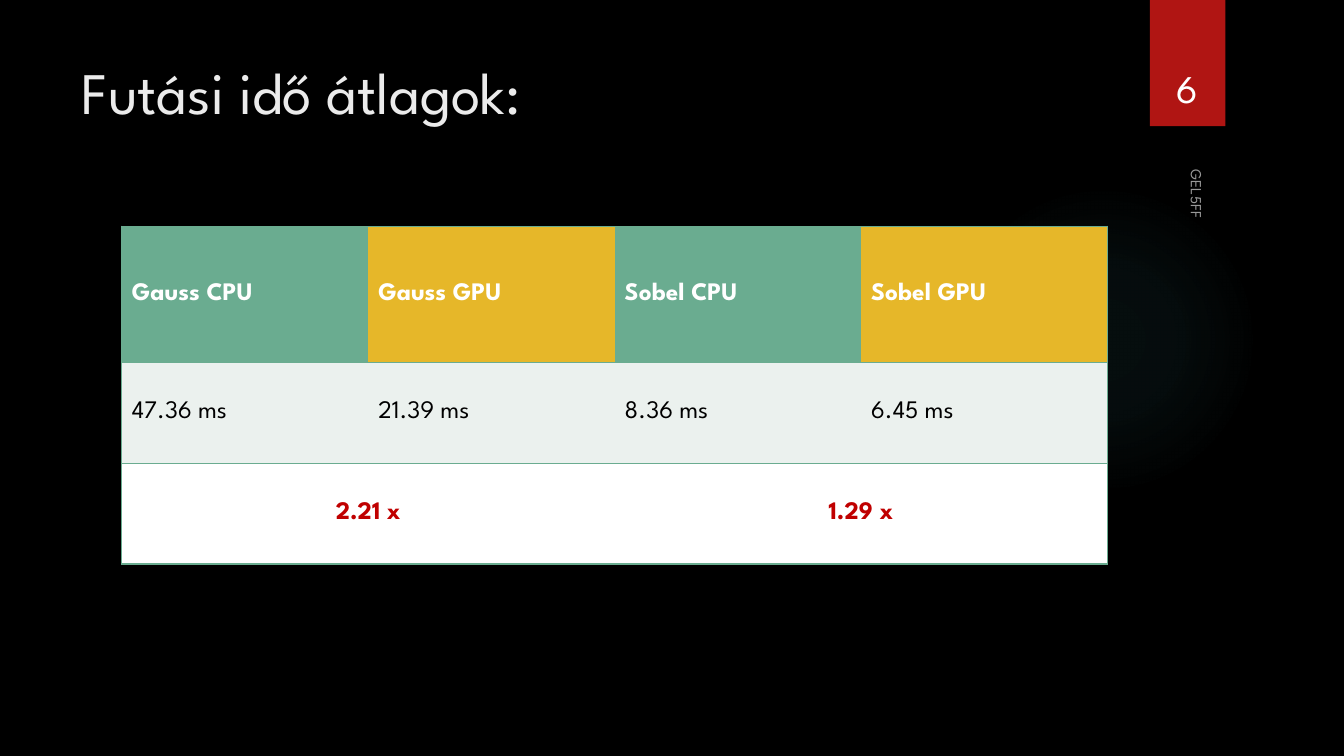
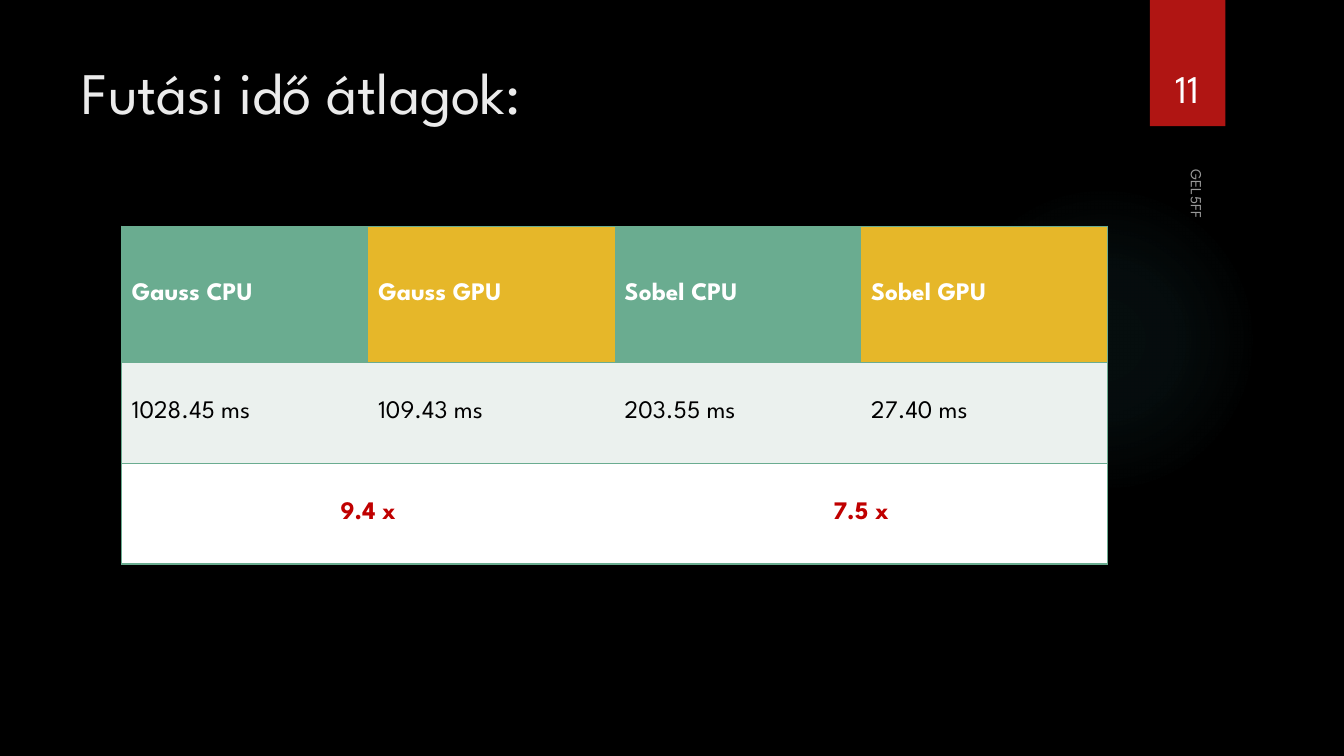
from lxml.etree import SubElement
from pptx import Presentation
from pptx.dml.color import RGBColor
from pptx.enum.shapes import MSO_SHAPE
from pptx.enum.text import MSO_ANCHOR, MSO_AUTO_SIZE, PP_ALIGN
from pptx.oxml import parse_xml
from pptx.oxml.ns import nsdecls, qn
from pptx.util import Cm, Pt

FONT = "League Spartan"
BLACK, WHITE, LIGHT, GREY = "000000", "FFFFFF", "EBEBEB", "999999"
RED, DARK_RED, GLOW = "B01513", "C00000", "50B9C1"
GREEN, YELLOW, PALE_GREEN = "6AAC90", "E6B729", "EBF1EE"

TITLE = "Futási idő átlagok:"
FOOTER = "GEL5FF"
HEADERS = ["Gauss CPU", "Gauss GPU", "Sobel CPU", "Sobel GPU"]
COLUMN_WIDTH = 6.21
ROW_HEIGHTS = [3.43, 2.54, 2.54]
RESULTS = [
    ("6", ["47.36 ms", "21.39 ms", "8.36 ms", "6.45 ms"], ["2.21 x", "1.29 x"]),
    ("11", ["1028.45 ms", "109.43 ms", "203.55 ms", "27.40 ms"], ["9.4 x", "7.5 x"]),
]


def paint(fill, color):
    fill.solid()
    fill.fore_color.rgb = RGBColor.from_string(color)


def write(frame, text, size, color, bold=False, align=PP_ALIGN.LEFT):
    frame.text = text
    paragraph = frame.paragraphs[0]
    paragraph.alignment = align
    font = paragraph.font
    font.name, font.size, font.bold = FONT, Pt(size), bold
    font.color.rgb = RGBColor.from_string(color)


def add_plain_shape(slide, kind, left, top, width, height):
    shape = slide.shapes.add_shape(kind, Cm(left), Cm(top), Cm(width), Cm(height))
    shape.shadow.inherit = False
    shape.line.fill.background()
    return shape


def add_glow(slide):
    shape = add_plain_shape(slide, MSO_SHAPE.OVAL, 23.9, 4.65, 7.82, 7.82)
    stops = "".join(
        f'<a:gs pos="{position * 1000}"><a:srgbClr val="{GLOW}">'
        f'<a:alpha val="{alpha * 1000}"/></a:srgbClr></a:gs>'
        for position, alpha in [(0, 7), (36, 6), (69, 0)]
    )
    gradient = parse_xml(
        f'<a:gradFill {nsdecls("a")}><a:gsLst>{stops}</a:gsLst><a:path path="circle">'
        '<a:fillToRect l="50000" t="50000" r="50000" b="50000"/></a:path></a:gradFill>'
    )
    shape.element.spPr.find(qn("a:prstGeom")).addnext(gradient)


def add_label(slide, text, left, top, width, height, size, color, align, rotation=0):
    shape = slide.shapes.add_textbox(Cm(left), Cm(top), Cm(width), Cm(height))
    shape.rotation = rotation
    frame = shape.text_frame
    frame.word_wrap = True
    frame.vertical_anchor = MSO_ANCHOR.BOTTOM
    write(frame, text, size, color, align=align)


def add_title(slide):
    title = slide.shapes.title
    title.left, title.top, title.width, title.height = Cm(1.8), Cm(1.27), Cm(26.14), Cm(3.89)
    frame = title.text_frame
    frame.auto_size = MSO_AUTO_SIZE.NONE
    frame.vertical_anchor = MSO_ANCHOR.TOP
    write(frame, TITLE, 42, LIGHT)


def set_borders(cell, sides):
    properties = cell._tc.get_or_add_tcPr()
    for index, side in enumerate("LRTB"):
        line = parse_xml(f'<a:ln{side} {nsdecls("a")} w="{Pt(1)}"/>')
        if side in sides:
            SubElement(SubElement(line, qn("a:solidFill")), qn("a:srgbClr"), val=GREEN)
        else:
            SubElement(line, qn("a:noFill"))
        properties.insert(index, line)


def style_cell(cell, fill, column, span=1):
    cell.vertical_anchor = MSO_ANCHOR.MIDDLE
    paint(cell.fill, fill)
    left = "L" if column == 0 else ""
    right = "R" if column + span == len(HEADERS) else ""
    set_borders(cell, "TB" + left + right)


def add_results_table(slide, times, speedups):
    count = len(HEADERS)
    table = slide.shapes.add_table(
        len(ROW_HEIGHTS), count, Cm(3.07), Cm(5.7),
        Cm(COLUMN_WIDTH * count), Cm(sum(ROW_HEIGHTS)),
    ).table
    table.horz_banding = False
    for row, height in zip(table.rows, ROW_HEIGHTS):
        row.height = Cm(height)
    for column, (header, time) in enumerate(zip(HEADERS, times)):
        table.columns[column].width = Cm(COLUMN_WIDTH)
        header_cell, time_cell = table.cell(0, column), table.cell(1, column)
        style_cell(header_cell, YELLOW if column % 2 else GREEN, column)
        write(header_cell.text_frame, header, 18, WHITE, bold=True)
        style_cell(time_cell, PALE_GREEN, column)
        write(time_cell.text_frame, time, 18, BLACK)
    for index, speedup in enumerate(speedups):
        column = index * 2
        cell = table.cell(2, column)
        cell.merge(table.cell(2, column + 1))
        style_cell(cell, WHITE, column, span=2)
        style_cell(table.cell(2, column + 1), WHITE, column + 1)
        write(cell.text_frame, speedup, 18, DARK_RED, bold=True, align=PP_ALIGN.CENTER)


def add_results_slide(presentation, number, times, speedups):
    slide = presentation.slides.add_slide(presentation.slide_layouts[5])
    add_glow(slide)
    band = add_plain_shape(slide, MSO_SHAPE.RECTANGLE, 28.98, 0, 1.9, 3.18)
    paint(band.fill, RED)
    add_title(slide)
    add_results_table(slide, times, speedups)
    add_label(slide, FOOTER, 24.87, 8.97, 10.72, 0.84, 11, GREY, PP_ALIGN.LEFT, rotation=90)
    add_label(slide, number, 28.75, 0.81, 2.34, 2.13, 28, WHITE, PP_ALIGN.CENTER)


def main():
    presentation = Presentation()
    presentation.slide_width, presentation.slide_height = Cm(33.87), Cm(19.05)
    paint(presentation.slide_master.background.fill, BLACK)
    for number, times, speedups in RESULTS:
        add_results_slide(presentation, number, times, speedups)
    presentation.save("out.pptx")


if __name__ == "__main__":
    main()
